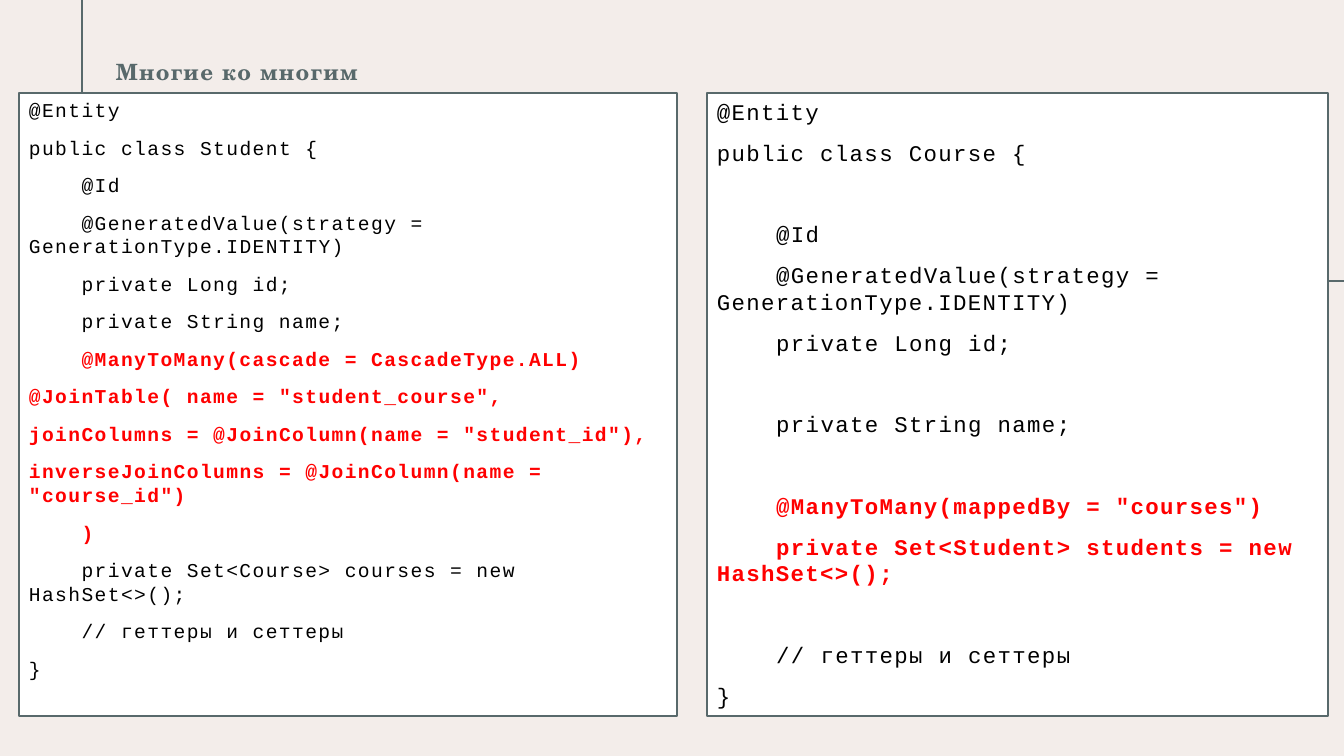
from dataclasses import dataclass

from pptx import Presentation
from pptx.dml.color import RGBColor
from pptx.enum.shapes import MSO_CONNECTOR, MSO_SHAPE
from pptx.enum.text import MSO_ANCHOR, PP_ALIGN
from pptx.oxml.ns import qn
from pptx.util import Pt
from lxml import etree

STRAIGHT = MSO_CONNECTOR.STRAIGHT
RECTANGLE = MSO_SHAPE.RECTANGLE
TOP, MIDDLE = MSO_ANCHOR.TOP, MSO_ANCHOR.MIDDLE
LEFT = PP_ALIGN.LEFT
SLIDE_WIDTH, SLIDE_HEIGHT = 1344, 756
EMU_PER_PX = 12192000 / SLIDE_WIDTH


@dataclass(frozen=True)
class Theme:
    """Colours, fonts and sizes of the slide."""

    background: RGBColor = RGBColor.from_string("F3EDEA")
    accent: RGBColor = RGBColor.from_string("58696B")
    panel: RGBColor = RGBColor.from_string("FFFFFF")
    code: RGBColor = RGBColor.from_string("000000")
    highlight: RGBColor = RGBColor.from_string("FF0000")
    title_font: str = "TeX Gyre Schola"
    code_font: str = "Courier New"
    title_size: int = 16
    student_size: int = 14
    course_size: int = 16
    letter_spacing: int = 1
    paragraph_gap: int = 10
    rule_width: float = 1.5
    border_width: int = 1


THEME = Theme()
PLAIN, INDENTED = 0, 1

# Each line: text, indent level, highlighted, preceded by a gap
STUDENT_CODE = [
    ("@Entity", PLAIN, False, False),
    ("public class Student {", PLAIN, False, False),
    ("@Id", INDENTED, False, False),
    ("@GeneratedValue(strategy = GenerationType.IDENTITY)", INDENTED, False, False),
    ("private Long id;", INDENTED, False, False),
    ("private String name;", INDENTED, False, False),
    ("@ManyToMany(cascade = CascadeType.ALL)", INDENTED, True, False),
    ('@JoinTable( name = "student_course",', PLAIN, True, False),
    ('joinColumns = @JoinColumn(name = "student_id"),', PLAIN, True, False),
    ('inverseJoinColumns = @JoinColumn(name = "course_id")', PLAIN, True, False),
    (")", INDENTED, True, False),
    ("private Set<Course> courses = new HashSet<>();", INDENTED, False, False),
    ("// геттеры и сеттеры", INDENTED, False, False),
    ("}", PLAIN, False, False),
]
COURSE_CODE = [
    ("@Entity", PLAIN, False, False),
    ("public class Course {", PLAIN, False, False),
    ("@Id", INDENTED, False, True),
    ("@GeneratedValue(strategy = GenerationType.IDENTITY)", INDENTED, False, False),
    ("private Long id;", INDENTED, False, False),
    ("private String name;", INDENTED, False, True),
    ('@ManyToMany(mappedBy = "courses")', INDENTED, True, True),
    ("private Set<Student> students = new HashSet<>();", INDENTED, True, False),
    ("// геттеры и сеттеры", INDENTED, False, True),
    ("}", PLAIN, False, False),
]


def px(length):
    """Turn pixels into EMU."""
    return round(length * EMU_PER_PX)


def style_paragraph(paragraph, font_name, size, color, bold):
    """Set the font and letter spacing of a whole paragraph."""
    paragraph.alignment = LEFT
    font = paragraph.font
    font.name, font.size, font.bold = font_name, Pt(size), bold
    font.color.rgb = color
    properties = paragraph._p.get_or_add_pPr().find(qn("a:defRPr"))
    properties.set("spc", str(THEME.letter_spacing * 100))


def add_rule(slide, start, end):
    """Draw a straight decorative line."""
    rule = slide.shapes.add_connector(STRAIGHT, *map(px, start + end))
    rule.line.color.rgb = THEME.accent
    rule.line.width = Pt(THEME.rule_width)
    etree.SubElement(rule._element.spPr, qn("a:effectLst"))


def add_title(slide, text, left, top, width, height):
    """Add the slide title."""
    box = slide.shapes.add_textbox(px(left), px(top), px(width), px(height))
    frame = box.text_frame
    frame.word_wrap = True
    frame.vertical_anchor = MIDDLE
    paragraph = frame.paragraphs[0]
    paragraph.text = text
    paragraph.line_spacing = 0.8
    style_paragraph(paragraph, THEME.title_font, THEME.title_size, THEME.accent, True)


def add_code_panel(slide, lines, size, left, top, width, height):
    """Add a bordered panel with one paragraph for each line of code."""
    panel = slide.shapes.add_shape(RECTANGLE, px(left), px(top), px(width), px(height))
    panel.shadow.inherit = False
    panel.fill.solid()
    panel.fill.fore_color.rgb = THEME.panel
    panel.line.color.rgb = THEME.accent
    panel.line.width = Pt(THEME.border_width)
    frame = panel.text_frame
    frame.word_wrap = True
    frame.vertical_anchor = TOP
    indent = Pt(4 * (size * 0.6 + THEME.letter_spacing))
    blank_line = Pt(round(size * 1.2) + THEME.paragraph_gap)
    for index, (text, level, highlighted, gap) in enumerate(lines):
        paragraph = frame.add_paragraph() if index else frame.paragraphs[0]
        paragraph.text = text
        paragraph.space_after = Pt(THEME.paragraph_gap)
        if gap:
            paragraph.space_before = blank_line
        color = THEME.highlight if highlighted else THEME.code
        style_paragraph(paragraph, THEME.code_font, size, color, highlighted)
        properties = paragraph._p.get_or_add_pPr()
        properties.set("marL", "0")
        properties.set("indent", str(level * indent))


def main():
    """Build and save the slide."""
    presentation = Presentation()
    presentation.slide_width = px(SLIDE_WIDTH)
    presentation.slide_height = px(SLIDE_HEIGHT)
    slide = presentation.slides.add_slide(presentation.slide_layouts[6])
    slide.background.fill.solid()
    slide.background.fill.fore_color.rgb = THEME.background

    add_rule(slide, (82, 0), (82, 304))
    add_rule(slide, (1024, 281), (SLIDE_WIDTH, 281))
    add_title(slide, "Многие ко многим", 106, 56, 360, 36)
    add_code_panel(slide, STUDENT_CODE, THEME.student_size, 19, 93, 658, 623)
    add_code_panel(slide, COURSE_CODE, THEME.course_size, 707, 93, 621, 623)
    presentation.save("out.pptx")


if __name__ == "__main__":
    main()
